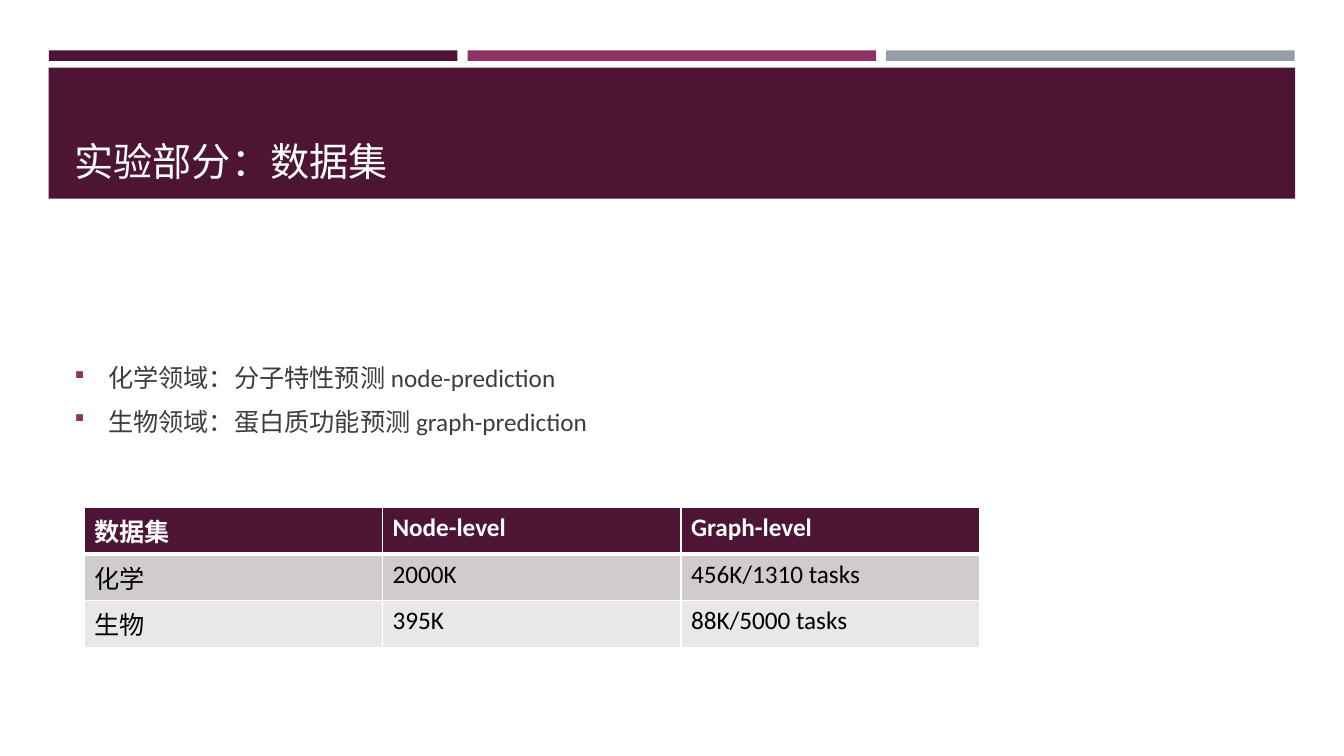
from lxml.etree import SubElement
from pptx import Presentation
from pptx.dml.color import RGBColor
from pptx.enum.shapes import MSO_SHAPE
from pptx.enum.text import MSO_ANCHOR, MSO_AUTO_SIZE, PP_ALIGN
from pptx.oxml.ns import qn
from pptx.util import Pt

FONT = "Calibri"
PLUM, MAGENTA, GREY, WHITE = "4D1434", "903163", "969FA7", "FFFFFF"
BODY_TEXT, BLACK = "3D3D3D", "000000"
ROW_FILLS = [PLUM, "D0CCCE", "E9E7E8"]

TITLE = "实验部分：数据集"
BULLETS = [
    "化学领域：分子特性预测 node-prediction",
    "生物领域：蛋白质功能预测 graph-prediction",
]
DATASETS = [
    ["数据集", "Node-level", "Graph-level"],
    ["化学", "2000K", "456K/1310 tasks"],
    ["生物", "395K", "88K/5000 tasks"],
]


def rgb(color):
    return RGBColor.from_string(color)


def add_run(p, text, size, color, bold=False):
    r = p.add_run()
    r.text = text
    r.font.name = FONT
    r.font.size = Pt(size)
    r.font.bold = bold
    r.font.color.rgb = rgb(color)


def add_bar(s, left, top, width, height, color):
    """Add a plain rectangle behind the title."""
    bar = s.shapes.add_shape(MSO_SHAPE.RECTANGLE, Pt(left), Pt(top), Pt(width), Pt(height))
    bar.shadow.inherit = False
    bar.fill.solid()
    bar.fill.fore_color.rgb = rgb(color)
    bar.line.fill.background()
    s.shapes.title.element.addprevious(bar.element)


def place(sp, left, top, width, height, anchor):
    """Move a placeholder and return its text frame."""
    sp.left, sp.top, sp.width, sp.height = Pt(left), Pt(top), Pt(width), Pt(height)
    tf = sp.text_frame
    tf.word_wrap = True
    tf.auto_size = MSO_AUTO_SIZE.NONE
    tf.vertical_anchor = anchor
    return tf


def set_bullet(p, color):
    pPr = p._p.get_or_add_pPr()
    pPr.set("marL", str(Pt(24)))
    pPr.set("indent", str(Pt(-24)))
    SubElement(SubElement(pPr, qn("a:buClr")), qn("a:srgbClr"), val=color)
    SubElement(pPr, qn("a:buSzPct"), val="92000")
    SubElement(pPr, qn("a:buFont"), typeface="Wingdings")
    SubElement(pPr, qn("a:buChar"), char="§")


def fill_title(s):
    tf = place(s.shapes.title, 46, 55.4, 868.4, 80, MSO_ANCHOR.BOTTOM)
    p = tf.paragraphs[0]
    p.alignment = PP_ALIGN.LEFT
    add_run(p, TITLE, 28, WHITE)


def fill_bullets(s):
    tf = place(s.placeholders[1], 46, 171.4, 868.4, 289.4, MSO_ANCHOR.MIDDLE)
    tf.margin_bottom = Pt(65)
    for i, text in enumerate(BULLETS):
        p = tf.add_paragraph() if i else tf.paragraphs[0]
        p.space_before = Pt(3.6)
        p.space_after = Pt(6)
        set_bullet(p, MAGENTA)
        add_run(p, text, 18, BODY_TEXT)


def set_borders(cell, widths):
    """Draw white borders; widths maps a side (L, R, T, B) to points."""
    tcPr = cell._tc.get_or_add_tcPr()
    for side, width in widths.items():
        ln = SubElement(tcPr, qn(f"a:ln{side}"), w=str(Pt(width)))
        SubElement(SubElement(ln, qn("a:solidFill")), qn("a:srgbClr"), val=WHITE)


def add_dataset_table(s):
    rows, cols = len(DATASETS), len(DATASETS[0])
    row_height = 32.8
    frame = s.shapes.add_table(rows, cols, Pt(60), Pt(362.5), Pt(640), Pt(rows * row_height))
    table = frame.table
    for column in table.columns:
        column.width = Pt(213.2)
    for i, texts in enumerate(DATASETS):
        table.rows[i].height = Pt(row_height)
        header = i == 0
        for j, text in enumerate(texts):
            cell = table.cell(i, j)
            set_borders(cell, {"L": 1, "R": 1, "T": 3 if i == 1 else 1, "B": 3 if header else 1})
            cell.fill.solid()
            cell.fill.fore_color.rgb = rgb(ROW_FILLS[i])
            add_run(cell.text_frame.paragraphs[0], text, 18, WHITE if header else BLACK, header)


def main():
    prs = Presentation()
    prs.slide_width, prs.slide_height = Pt(960), Pt(540)
    s = prs.slides.add_slide(prs.slide_layouts[1])
    for i, color in enumerate([PLUM, MAGENTA, GREY]):
        add_bar(s, 35 + i * 299, 36, 291.8, 7.5, color)
    add_bar(s, 34.8, 48.4, 890.4, 93.6, PLUM)
    fill_title(s)
    fill_bullets(s)
    add_dataset_table(s)
    prs.save("out.pptx")


if __name__ == "__main__":
    main()
